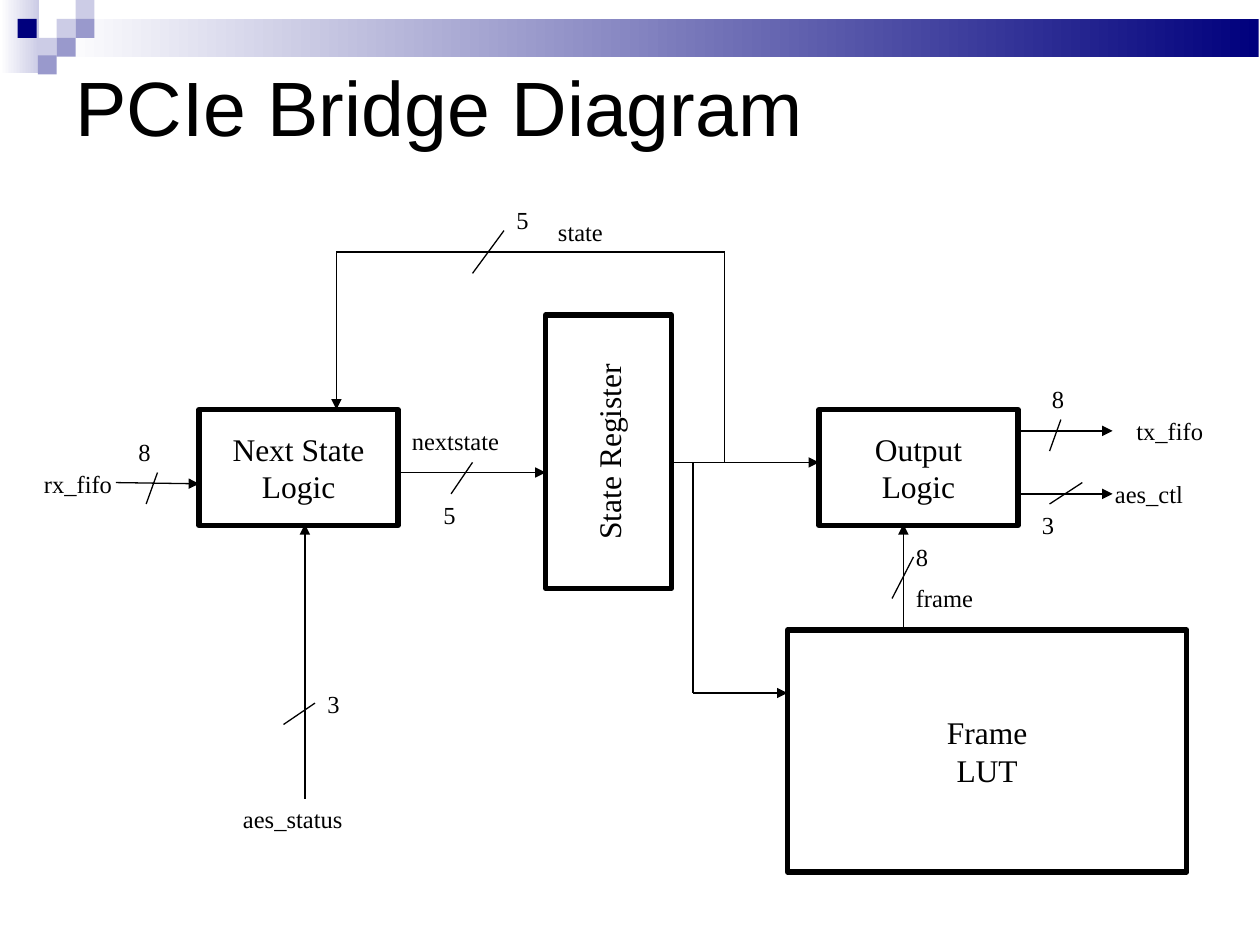
from typing import NamedTuple

from lxml import etree
from pptx import Presentation
from pptx.dml.color import RGBColor
from pptx.enum.shapes import MSO_CONNECTOR, MSO_SHAPE
from pptx.enum.text import MSO_ANCHOR, MSO_AUTO_SIZE, PP_ALIGN
from pptx.oxml.ns import qn
from pptx.util import Inches, Pt

RECTANGLE = MSO_SHAPE.RECTANGLE
STRAIGHT = MSO_CONNECTOR.STRAIGHT
MIDDLE = MSO_ANCHOR.MIDDLE
CENTER = PP_ALIGN.CENTER
FIT_SHAPE = MSO_AUTO_SIZE.SHAPE_TO_FIT_TEXT

COLORS = {"ink": "000000", "paper": "FFFFFF", "navy": "00007D",
          "lilac": "CCCCE6", "violet": "9999CC"}
TITLE_FONT, DIAGRAM_FONT = "Arial", "Times New Roman"
TILE = 0.15


class Band(NamedTuple):
    left: float
    top: float
    width: float
    height: float
    color: str


class Tile(NamedTuple):
    left: float
    top: float
    color: str


class Block(NamedTuple):
    name: str
    left: float
    top: float
    width: float
    height: float
    upward: bool = False


class Wire(NamedTuple):
    x1: float
    y1: float
    x2: float
    y2: float
    arrow: bool = False


class Label(NamedTuple):
    text: str
    left: float
    top: float
    width: float


BANDS = [Band(0, 0, 0.31, 0.58, "lilac"), Band(0.45, 0.15, 9.54, 0.3, "navy")]
TILES = [
    Tile(0.45, 0.15, "lilac"), Tile(0.6, 0, "lilac"), Tile(0.6, 0.15, "violet"),
    Tile(0.3, 0.3, "lilac"), Tile(0.14, 0.15, "navy"), Tile(0.45, 0.3, "violet"),
    Tile(0.3, 0.44, "violet"),
]
BLOCKS = [
    Block("Next State\nLogic", 1.58, 3.25, 1.58, 0.92),
    Block("Output\nLogic", 6.5, 3.25, 1.58, 0.92),
    Block("State Register", 4.33, 2.5, 1, 2.17, upward=True),
    Block("Frame\nLUT", 6.25, 5, 3.17, 1.92),
]
SIGNALS = [
    Wire(0.92, 3.83, 1.58, 3.84, True),
    Wire(3.17, 3.75, 4.33, 3.75, True),
    Wire(2.42, 6.34, 2.42, 4.16, True),
    Wire(5.33, 3.67, 5.75, 3.67),
    Wire(5.75, 3.67, 5.75, 2),
    Wire(5.75, 2, 2.67, 2),
    Wire(2.67, 2, 2.67, 3.25, True),
    Wire(5.75, 3.67, 6.5, 3.67, True),
    Wire(5.5, 3.67, 5.5, 5.5),
    Wire(5.5, 5.5, 6.25, 5.5, True),
    Wire(8.08, 3.42, 8.83, 3.42, True),
    Wire(8.08, 3.92, 8.83, 3.92, True),
    Wire(7.17, 5, 7.17, 4.16, True),
]
BUS_SLASHES = [
    Wire(1.25, 3.75, 1.16, 4), Wire(3.75, 3.67, 3.58, 3.92),
    Wire(2.5, 5.58, 2.25, 5.75), Wire(4, 1.83, 3.75, 2.17),
    Wire(8.42, 3.33, 8.33, 3.58), Wire(8.59, 3.83, 8.33, 4),
    Wire(7.25, 4.42, 7.08, 4.75),
]
LABELS = [
    Label("rx_fifo", 0.25, 3.67, 0.75), Label("8", 1, 3.42, 0.42),
    Label("nextstate", 3.17, 3.33, 1.08), Label("5", 3.42, 3.92, 0.33),
    Label("aes_status", 1.83, 6.33, 1.25), Label("3", 2.5, 5.42, 0.33),
    Label("5", 4, 1.58, 0.33), Label("state", 4.33, 1.67, 1.08),
    Label("tx_fifo", 8.92, 3.25, 0.75), Label("8", 8.25, 3, 0.42),
    Label("aes_ctl", 8.75, 3.75, 1.25), Label("3", 8.17, 4, 0.33),
    Label("8", 7.17, 4.25, 0.42), Label("frame", 7.17, 4.58, 1.25),
]


def rgb(color: str) -> RGBColor:
    """Look up a named colour."""
    return RGBColor.from_string(COLORS[color])


def style_text(frame, font: str, size: float) -> None:
    """Format every run of a text frame."""
    for paragraph in frame.paragraphs:
        for run in paragraph.runs:
            run.font.name = font
            run.font.size = Pt(size)
            run.font.color.rgb = rgb("ink")


def add_rectangle(slide, left: float, top: float, width: float, height: float):
    """Add a rectangle without shadow or outline."""
    rectangle = slide.shapes.add_shape(
        RECTANGLE, Inches(left), Inches(top), Inches(width), Inches(height))
    rectangle.shadow.inherit = False
    rectangle.line.fill.background()
    return rectangle


def draw_band(slide, band: Band) -> None:
    """Draw a band that fades to white on the left."""
    fill = add_rectangle(slide, *band[:4]).fill
    fill.gradient()
    fill.gradient_angle = 180
    for stop, color in zip(fill.gradient_stops, (band.color, "paper")):
        stop.color.rgb = rgb(color)


def draw_tile(slide, tile: Tile) -> None:
    """Draw one square of the corner mosaic."""
    fill = add_rectangle(slide, tile.left, tile.top, TILE, TILE).fill
    fill.solid()
    fill.fore_color.rgb = rgb(tile.color)


def draw_block(slide, block: Block) -> None:
    """Draw a logic block with its centred name."""
    body = add_rectangle(slide, block.left, block.top, block.width, block.height)
    body.fill.solid()
    body.fill.fore_color.rgb = rgb("paper")
    body.line.color.rgb = rgb("ink")
    body.line.width = Pt(3)
    frame = body.text_frame
    frame.text = block.name
    frame.word_wrap = False
    frame.vertical_anchor = MIDDLE
    for paragraph in frame.paragraphs:
        paragraph.alignment = CENTER
    style_text(frame, DIAGRAM_FONT, 18)
    if block.upward:
        body.element.txBody.bodyPr.set("vert", "vert270")


def draw_wire(slide, wire: Wire) -> None:
    """Draw a thin wire, with an arrowhead if it ends at an input."""
    connector = slide.shapes.add_connector(
        STRAIGHT, Inches(wire.x1), Inches(wire.y1), Inches(wire.x2), Inches(wire.y2))
    connector.line.color.rgb = rgb("ink")
    connector.line.width = Pt(0.75)
    if wire.arrow:
        outline = connector.line._get_or_add_ln()
        etree.SubElement(outline, qn("a:tailEnd"), type="triangle")
    etree.SubElement(connector.element.spPr, qn("a:effectLst"))


def draw_label(slide, label: Label) -> None:
    """Write a signal name or a bus width."""
    frame = slide.shapes.add_textbox(
        Inches(label.left), Inches(label.top), Inches(label.width), Inches(0.34)).text_frame
    frame.text = label.text
    frame.word_wrap = True
    frame.auto_size = FIT_SHAPE
    style_text(frame, DIAGRAM_FONT, 14)


def draw_title(slide, title: str) -> None:
    """Write the slide title."""
    frame = slide.shapes.add_textbox(
        Inches(0.5), Inches(0.3), Inches(9), Inches(1.25)).text_frame
    frame.text = title
    frame.word_wrap = True
    frame.vertical_anchor = MIDDLE
    frame.paragraphs[0].line_spacing = 0.71
    style_text(frame, TITLE_FONT, 44)


def main() -> None:
    """Build the slide and save it."""
    presentation = Presentation()
    presentation.slide_width, presentation.slide_height = Inches(10), Inches(7.5)
    slide = presentation.slides.add_slide(presentation.slide_layouts[6])
    for band in BANDS:
        draw_band(slide, band)
    for tile in TILES:
        draw_tile(slide, tile)
    draw_title(slide, "PCIe Bridge Diagram")
    for block in BLOCKS:
        draw_block(slide, block)
    for wire in SIGNALS + BUS_SLASHES:
        draw_wire(slide, wire)
    for label in LABELS:
        draw_label(slide, label)
    presentation.save("out.pptx")


if __name__ == "__main__":
    main()
